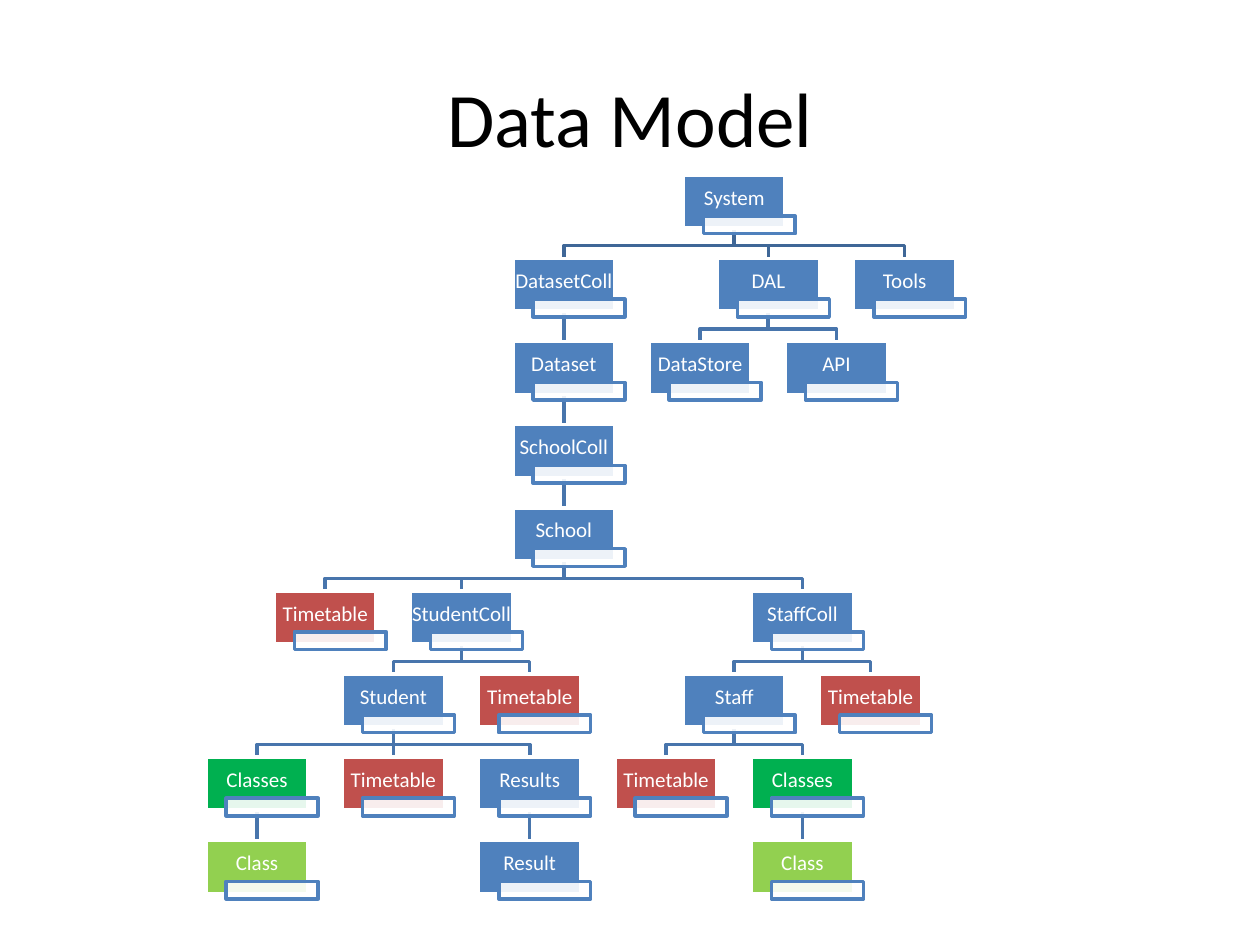
"""Build the Data Model slide: a hierarchy of system objects."""
import dataclasses

import lxml.etree
import pptx
import pptx.dml.color
import pptx.enum.shapes
import pptx.enum.text
import pptx.oxml.ns
import pptx.util

Inches = pptx.util.Inches


@dataclasses.dataclass(frozen=True)
class Theme:
    font: str = "Calibri"
    title_size: int = 44
    label_size: int = 12
    line_width: int = 2
    black: str = "000000"
    white: str = "FFFFFF"
    blue: str = "4F81BD"
    red: str = "C0504D"
    green: str = "00B050"
    lime: str = "92D050"
    top_link: str = "3F6797"
    link: str = "4875AC"


THEME = Theme()
TITLE = "Data Model"


def node(label, column, *children, color=THEME.blue):
    """Describe one box by label, column in half steps, children and colour."""
    return {"label": label, "column": column, "children": children, "color": color}


def timetable(column):
    """Describe a timetable leaf."""
    return node("Timetable", column, color=THEME.red)


def classes(column):
    """Describe a class collection with its single class."""
    return node("Classes", column, node("Class", column, color=THEME.lime), color=THEME.green)


STUDENTS = node(
    "StudentColl", 3,
    node("Student", 2, classes(0), timetable(2), node("Results", 4, node("Result", 4))),
    timetable(4),
)
STAFF = node("StaffColl", 8, node("Staff", 7, timetable(6), classes(8)), timetable(9))
SCHOOL = node("School", 4.5, timetable(1), STUDENTS, STAFF)
DATASETS = node("DatasetColl", 4.5, node("Dataset", 4.5, node("SchoolColl", 4.5, SCHOOL)))
DAL = node("DAL", 7.5, node("DataStore", 6.5), node("API", 8.5))
SYSTEM = node("System", 7, DATASETS, DAL, node("Tools", 9.5))

FIRST_CENTER, LAST_CENTER, LAST_COLUMN = 2.04, 7.18, 9.5
COLUMN_STEP = (LAST_CENTER - FIRST_CENTER) / LAST_COLUMN
FIRST_TOP, ROW_STEP = 1.39, 0.66
BOX_WIDTH, BOX_HEIGHT = 0.81, 0.42
TAG_OFFSET_X, TAG_OFFSET_Y, TAG_WIDTH, TAG_HEIGHT = 0.16, 0.325, 0.73, 0.14
BEND = 0.14


def rgb(color):
    return pptx.dml.color.RGBColor.from_string(color)


def write_text(shape, text, *, size, color, insets=(0.1, 0.05, 0.1, 0.05), spacing=1.0, wrap=True):
    """Put one centred paragraph into a shape."""
    frame = shape.text_frame
    frame.word_wrap = wrap
    frame.vertical_anchor = pptx.enum.text.MSO_ANCHOR.MIDDLE
    frame.margin_left, frame.margin_top, frame.margin_right, frame.margin_bottom = map(Inches, insets)
    paragraph = frame.paragraphs[0]
    paragraph.alignment = pptx.enum.text.PP_ALIGN.CENTER
    paragraph.line_spacing = spacing
    run = paragraph.add_run()
    run.text = text
    run.font.name = THEME.font
    run.font.size = pptx.util.Pt(size)
    run.font.color.rgb = rgb(color)


def style_line(shape, color):
    shape.line.color.rgb = rgb(color)
    shape.line.width = pptx.util.Pt(THEME.line_width)


def add_box(slide, left, top, width, height, fill, line):
    shape = slide.shapes.add_shape(
        pptx.enum.shapes.MSO_SHAPE.RECTANGLE, *map(Inches, (left, top, width, height)))
    shape.shadow.inherit = False
    shape.fill.solid()
    shape.fill.fore_color.rgb = rgb(fill)
    style_line(shape, line)
    return shape


def position(item, depth):
    """Return the centre and top of a box."""
    return FIRST_CENTER + item["column"] * COLUMN_STEP, FIRST_TOP + depth * ROW_STEP


def add_link(slide, start, end, color):
    """Join a parent's bottom to a child's top, bent where columns differ."""
    (x1, y1), (x2, y2) = start, end
    if x1 == x2:
        link = slide.shapes.add_connector(
            pptx.enum.shapes.MSO_CONNECTOR.STRAIGHT, *map(Inches, (x1, y1, x2, y2)))
        lxml.etree.SubElement(link.element.spPr, pptx.oxml.ns.qn("a:effectLst"))
    else:
        builder = slide.shapes.build_freeform(Inches(x1), Inches(y1))
        corners = [(x1, y1 + BEND), (x2, y1 + BEND), (x2, y2)]
        builder.add_line_segments([(Inches(x), Inches(y)) for x, y in corners], close=False)
        link = builder.convert_to_shape()
        link.shadow.inherit = False
        link.fill.background()
    style_line(link, color)


def add_links(slide, item, depth=0):
    center, top = position(item, depth)
    for child in item["children"]:
        color = THEME.link if depth else THEME.top_link
        add_link(slide, (center, top + BOX_HEIGHT), position(child, depth + 1), color)
        add_links(slide, child, depth + 1)


def add_nodes(slide, item, depth=0):
    center, top = position(item, depth)
    left = center - BOX_WIDTH / 2
    box = add_box(slide, left, top, BOX_WIDTH, BOX_HEIGHT, item["color"], THEME.white)
    write_text(box, item["label"], size=THEME.label_size, color=THEME.white,
               insets=(0.01, 0.01, 0.01, 0.06), spacing=0.9, wrap=False)
    tag = add_box(slide, left + TAG_OFFSET_X, top + TAG_OFFSET_Y, TAG_WIDTH, TAG_HEIGHT,
                  THEME.white, THEME.blue)
    fill_color = tag.element.spPr.find(pptx.oxml.ns.qn("a:solidFill"))[0]
    lxml.etree.SubElement(fill_color, pptx.oxml.ns.qn("a:alpha"), val="90000")
    for child in item["children"]:
        add_nodes(slide, child, depth + 1)


def main():
    presentation = pptx.Presentation()
    presentation.slide_width, presentation.slide_height = Inches(10), Inches(7.5)
    slide = presentation.slides.add_slide(presentation.slide_layouts[6])
    title = slide.shapes.add_textbox(*map(Inches, (0.5, 0.3, 9, 1.25)))
    write_text(title, TITLE, size=THEME.title_size, color=THEME.black)
    add_links(slide, SYSTEM)
    add_nodes(slide, SYSTEM)
    presentation.save("out.pptx")


if __name__ == "__main__":
    main()
